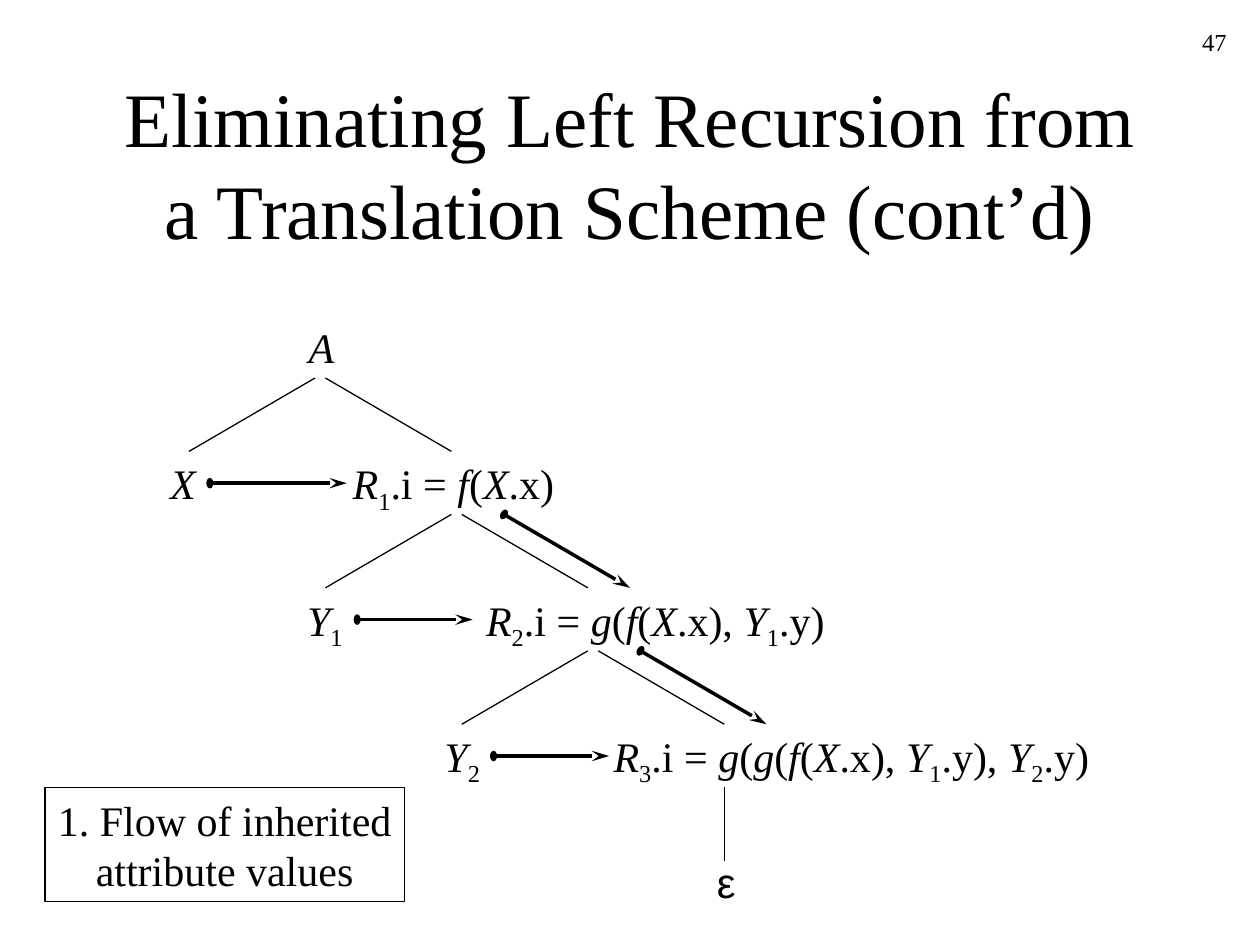
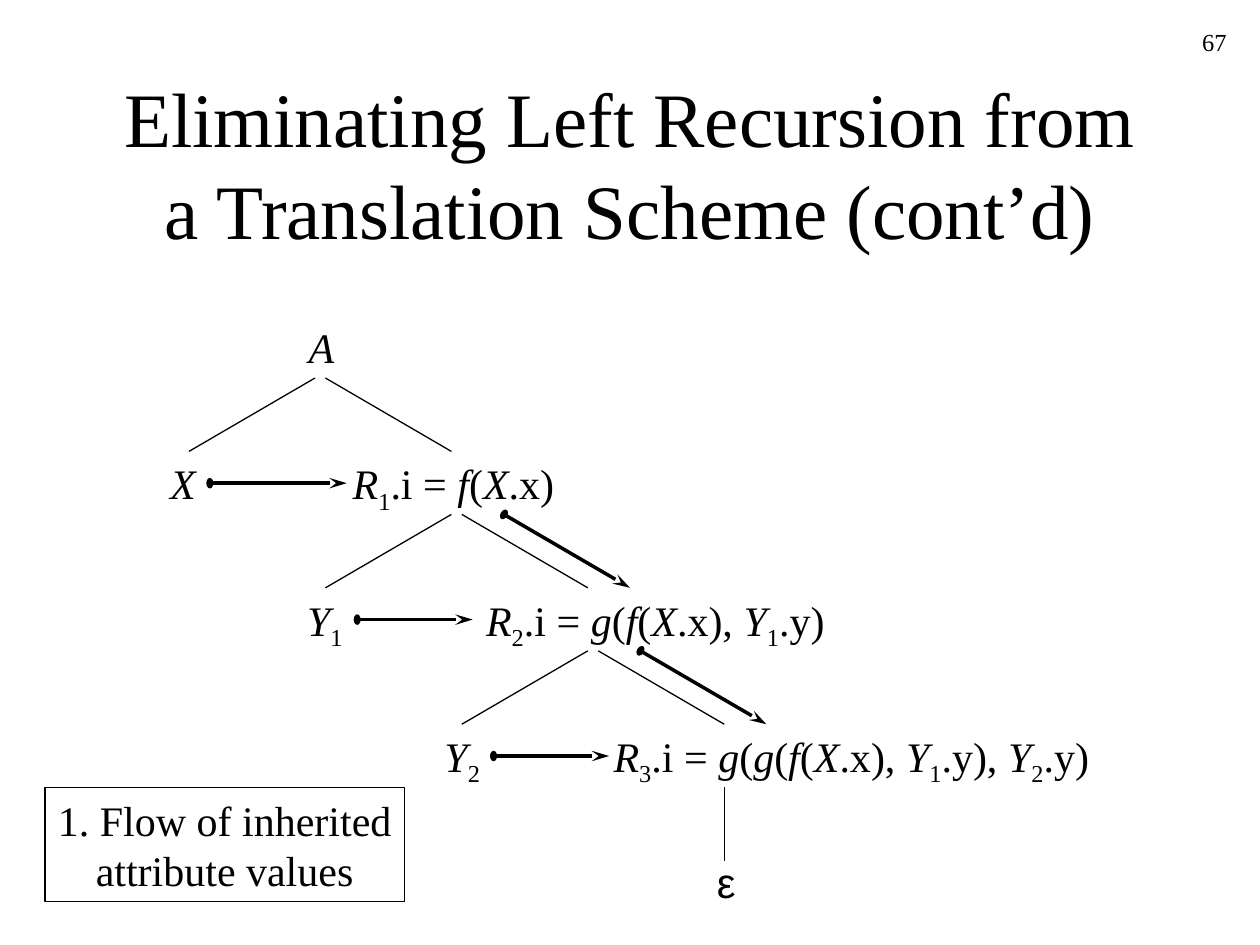
from dataclasses import dataclass
from itertools import groupby

from lxml import etree
from pptx import Presentation
from pptx.dml.color import RGBColor
from pptx.enum.shapes import MSO_CONNECTOR, MSO_SHAPE
from pptx.enum.text import MSO_ANCHOR, MSO_AUTO_SIZE, PP_ALIGN
from pptx.oxml.ns import qn
from pptx.slide import Slide
from pptx.text.text import TextFrame
from pptx.util import Cm, Pt

LEFT, CENTER, RIGHT = PP_ALIGN.LEFT, PP_ALIGN.CENTER, PP_ALIGN.RIGHT
MIDDLE = MSO_ANCHOR.MIDDLE
STRAIGHT, RECTANGLE = MSO_CONNECTOR.STRAIGHT, MSO_SHAPE.RECTANGLE
FIT_SHAPE, NO_FIT = MSO_AUTO_SIZE.SHAPE_TO_FIT_TEXT, MSO_AUTO_SIZE.NONE
TITLE_ONLY = 5


@dataclass(frozen=True)
class Theme:
    ink: RGBColor = RGBColor(0, 0, 0)
    serif: str = "Times New Roman"
    sans: str = "Arial"
    title: int = 44
    body: int = 24
    page: int = 14
    thin: float = 0.75
    thick: float = 2


@dataclass(frozen=True)
class Label:
    text: str
    left: float
    top: float
    width: float
    height: float = 1.42
    font: str = Theme.serif


@dataclass(frozen=True)
class Line:
    x1: float
    y1: float
    x2: float
    y2: float
    flow: bool = False


THEME = Theme()
TITLE = "Eliminating Left Recursion from a Translation Scheme (cont’d)"
CAPTION = "1. Flow of inherited\vattribute values"
PAGES = ("47", "67")

# Tree geometry in cm: each level lies one step right and one step down.
STEP = 2.75
APEX_X, APEX_Y, APEX_GAP = 6.35, 7.62, 0.21
BRANCH_DX, BRANCH_DY = 2.54, 1.48
ROW_TOP, FLOW_Y = 9.1, 9.74
ITALIC_SYMBOLS = "ARXYfg"

ROOT = Label("A", 5.97, 6.35, 1.02, 1.27)
EPSILON = Label("ε", 14.2, 17.15, 0.86, 1.27, THEME.sans)
LEFT_NODES = (("X", 3.18, 1.02), ("Y1", 5.94, 1.22), ("Y2", 8.71, 1.22))
RIGHT_NODES = (
    ("R1.i = f(X.x)", 6.86, 4.6),
    ("R2.i = g(f(X.x), Y1.y)", 9.55, 7.45),
    ("R3.i = g(g(f(X.x), Y1.y), Y2.y)", 12.12, 10.25),
)
SIDEWAYS_FLOWS = ((4.23, 6.99), (7.2, 9.53), (9.95, 12.28))


def tree_labels() -> list[Label]:
    rows = [
        Label(text, left, ROW_TOP + level * STEP, width)
        for nodes in (LEFT_NODES, RIGHT_NODES)
        for level, (text, left, width) in enumerate(nodes)
    ]
    return [ROOT, *rows, EPSILON]


def tree_lines() -> list[Line]:
    """Branches, the stem to epsilon, and the arrows of attribute flow."""
    lines = []
    for level, (start, end) in enumerate(SIDEWAYS_FLOWS):
        shift = level * STEP
        x, y = APEX_X + shift, APEX_Y + shift
        right, bottom = x + APEX_GAP, y + BRANCH_DY
        lines += [
            Line(x, y, x - BRANCH_DX, bottom),
            Line(right, y, right + BRANCH_DX, bottom),
            Line(start, FLOW_Y + shift, end, FLOW_Y + shift, flow=True),
        ]
        if level:
            source = right + 0.85
            lines.append(Line(source, y, source + BRANCH_DX, bottom, flow=True))
    stem_x, stem_y = 14.61, APEX_Y + 3 * STEP
    return lines + [Line(stem_x, stem_y, stem_x, stem_y + BRANCH_DY)]


def style_text(tf: TextFrame, size: int, align: PP_ALIGN, font: str = THEME.serif) -> None:
    p = tf.paragraphs[0]
    p.alignment = align
    p.font.name = font
    p.font.size = Pt(size)
    p.font.color.rgb = THEME.ink


def symbol_kind(char: str) -> str:
    if char in ITALIC_SYMBOLS:
        return "italic"
    return "subscript" if char.isdigit() else "upright"


def add_label(s: Slide, label: Label) -> None:
    """Italic grammar symbols and subscript digits follow from the text."""
    sp = s.shapes.add_textbox(
        Cm(label.left), Cm(label.top), Cm(label.width), Cm(label.height)
    )
    tf = sp.text_frame
    tf.word_wrap = False
    tf.auto_size = FIT_SHAPE
    for kind, chars in groupby(label.text, symbol_kind):
        r = tf.paragraphs[0].add_run()
        r.text = "".join(chars)
        r.font.italic = kind == "italic"
        if kind == "subscript":
            r.font._element.set("baseline", "-25000")
    style_text(tf, THEME.body, LEFT, label.font)


def add_line(s: Slide, line: Line) -> None:
    cx = s.shapes.add_connector(
        STRAIGHT, Cm(line.x1), Cm(line.y1), Cm(line.x2), Cm(line.y2)
    )
    cx.line.color.rgb = THEME.ink
    cx.line.width = Pt(THEME.thick if line.flow else THEME.thin)
    if line.flow:
        ln = cx.line._get_or_add_ln()
        for tag, end, length in (
            ("a:headEnd", "oval", "sm"),
            ("a:tailEnd", "stealth", "lg"),
        ):
            etree.SubElement(ln, qn(tag), type=end, w="med", len=length)
    etree.SubElement(cx._element.spPr, qn("a:effectLst"))


def add_caption(s: Slide) -> None:
    sp = s.shapes.add_shape(RECTANGLE, Cm(0.91), Cm(15.88), Cm(7.24), Cm(2.29))
    sp.shadow.inherit = False
    sp.fill.background()
    sp.line.color.rgb = THEME.ink
    sp.line.width = Pt(THEME.thin)
    tf = sp.text_frame
    tf.word_wrap = False
    tf.auto_size = FIT_SHAPE
    tf.text = CAPTION
    style_text(tf, THEME.body, CENTER)


def add_header(s: Slide, page: str) -> None:
    sp = s.shapes.title
    sp.left, sp.top, sp.width, sp.height = Cm(1.91), Cm(1.69), Cm(21.59), Cm(3.18)
    tf = sp.text_frame
    tf.text = TITLE
    tf.auto_size = NO_FIT
    tf.vertical_anchor = MIDDLE
    style_text(tf, THEME.title, CENTER)

    tf = s.shapes.add_textbox(Cm(19.69), Cm(0.42), Cm(5.29), Cm(1.27)).text_frame
    tf.word_wrap = True
    tf.text = page
    style_text(tf, THEME.page, RIGHT)


def add_flow_slide(prs: Presentation, page: str) -> None:
    s = prs.slides.add_slide(prs.slide_layouts[TITLE_ONLY])
    add_header(s, page)
    for label in tree_labels():
        add_label(s, label)
    for line in tree_lines():
        add_line(s, line)
    add_caption(s)


def main() -> None:
    prs = Presentation()
    prs.slide_width, prs.slide_height = Cm(25.4), Cm(19.05)
    for page in PAGES:
        add_flow_slide(prs, page)
    prs.save("out.pptx")


if __name__ == "__main__":
    main()
